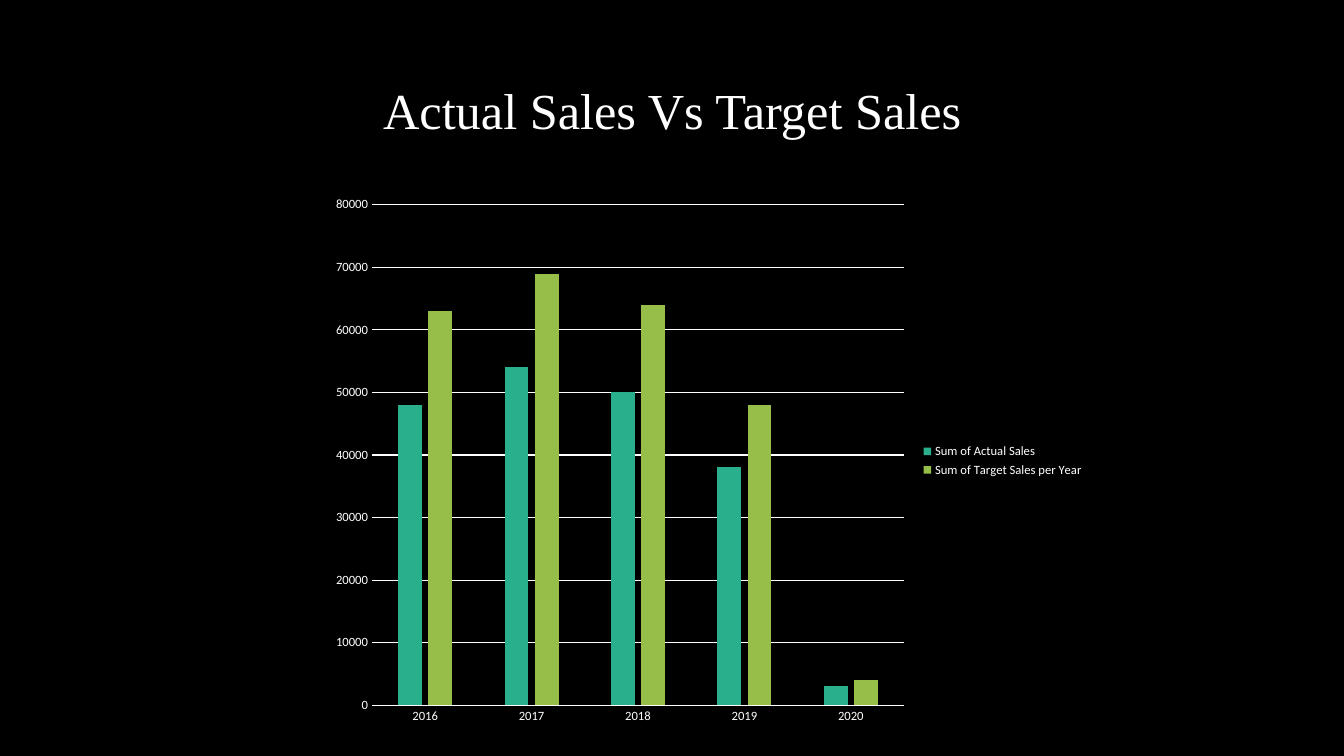
"""Build a slide that compares actual sales with target sales by year."""
from dataclasses import dataclass

from pptx import Presentation
from pptx import util as u
from pptx.chart.data import CategoryChartData
from pptx.dml.color import RGBColor
from pptx.enum import chart as charts, text


@dataclass(frozen=True)
class Theme:
    background: str = "000000"
    foreground: str = "FFFFFF"
    series: tuple = ("29AF8C", "97BE49")
    title_font: str = "Times New Roman"
    chart_font: str = "Calibri"
    title_size: float = 36
    chart_size: float = 10
    label_size: float = 9
    line_width: float = 0.75


YEARS = ("2016", "2017", "2018", "2019", "2020")
SALES = {
    "Sum of Actual Sales": (48000, 54000, 50000, 38000, 3000),
    "Sum of Target Sales per Year": (63000, 69000, 64000, 48000, 4000),
}


def format_font(font, name, size, color):
    font.name = name
    font.size = u.Pt(size)
    font.color.rgb = RGBColor.from_string(color)


def write_text(paragraph, content, *, name, size, color, align, spacing):
    paragraph.alignment = align
    paragraph.line_spacing = spacing
    run = paragraph.add_run()
    run.text = content
    format_font(run.font, name, size, color)


class SlideBuilder:
    def __init__(self, presentation, theme):
        self.theme = theme
        self.slide = presentation.slides.add_slide(presentation.slide_layouts[6])
        fill = self.slide.background.fill
        fill.solid()
        fill.fore_color.rgb = RGBColor.from_string(theme.background)

    def add_title(self, content, left, top, width, height):
        box = self.slide.shapes.add_textbox(*map(u.Inches, (left, top, width, height)))
        frame = box.text_frame
        frame.word_wrap = True
        frame.vertical_anchor = text.MSO_ANCHOR.MIDDLE
        write_text(frame.paragraphs[0], content, name=self.theme.title_font,
                   size=self.theme.title_size, color=self.theme.foreground,
                   align=text.PP_ALIGN.CENTER, spacing=0.9)

    def format_line(self, line):
        line.color.rgb = RGBColor.from_string(self.theme.foreground)
        line.width = u.Pt(self.theme.line_width)

    def format_labels(self, font, size):
        format_font(font, self.theme.chart_font, size, self.theme.foreground)

    def add_column_chart(self, categories, values_by_name, left, top, width, height):
        data = CategoryChartData()
        data.categories = categories
        for name, values in values_by_name.items():
            data.add_series(name, values)
        chart = self.slide.shapes.add_chart(
            charts.XL_CHART_TYPE.COLUMN_CLUSTERED,
            *map(u.Inches, (left, top, width, height)), data).chart
        chart.has_title = False
        self.format_labels(chart.font, self.theme.chart_size)

        plot = chart.plots[0]
        plot.gap_width = 219
        plot.overlap = -27
        plot.vary_by_categories = False
        for series, color in zip(plot.series, self.theme.series):
            series.format.fill.solid()
            series.format.fill.fore_color.rgb = RGBColor.from_string(color)

        for axis in (chart.category_axis, chart.value_axis):
            axis.major_tick_mark = charts.XL_TICK_MARK.NONE
            axis.minor_tick_mark = charts.XL_TICK_MARK.NONE
            self.format_labels(axis.tick_labels.font, self.theme.label_size)
        self.format_line(chart.category_axis.format.line)
        value_axis = chart.value_axis
        value_axis.minimum_scale, value_axis.maximum_scale = 0, 80000
        value_axis.major_unit = 10000
        value_axis.format.line.fill.background()
        self.format_line(value_axis.major_gridlines.format.line)

        chart.has_legend = True
        chart.legend.position = charts.XL_LEGEND_POSITION.RIGHT
        chart.legend.include_in_layout = False
        self.format_labels(chart.legend.font, self.theme.label_size)


def main():
    presentation = Presentation()
    presentation.slide_width = u.Inches(13.33)
    presentation.slide_height = u.Inches(7.5)
    builder = SlideBuilder(presentation, Theme())
    builder.add_title("Actual Sales Vs Target Sales", 0.92, 0.4, 11.5, 1.45)
    builder.add_column_chart(YEARS, SALES, 3.18, 1.85, 7.67, 5.44)
    presentation.save("out.pptx")


if __name__ == "__main__":
    main()
